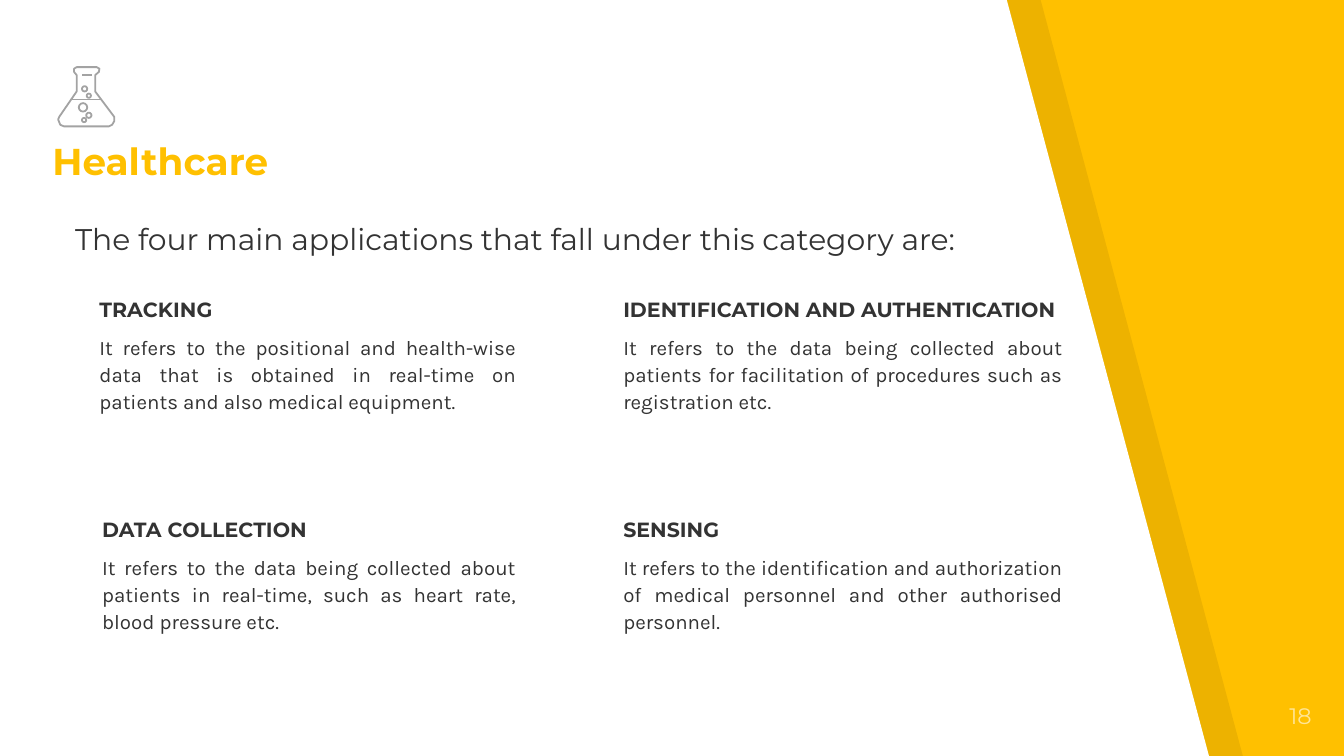
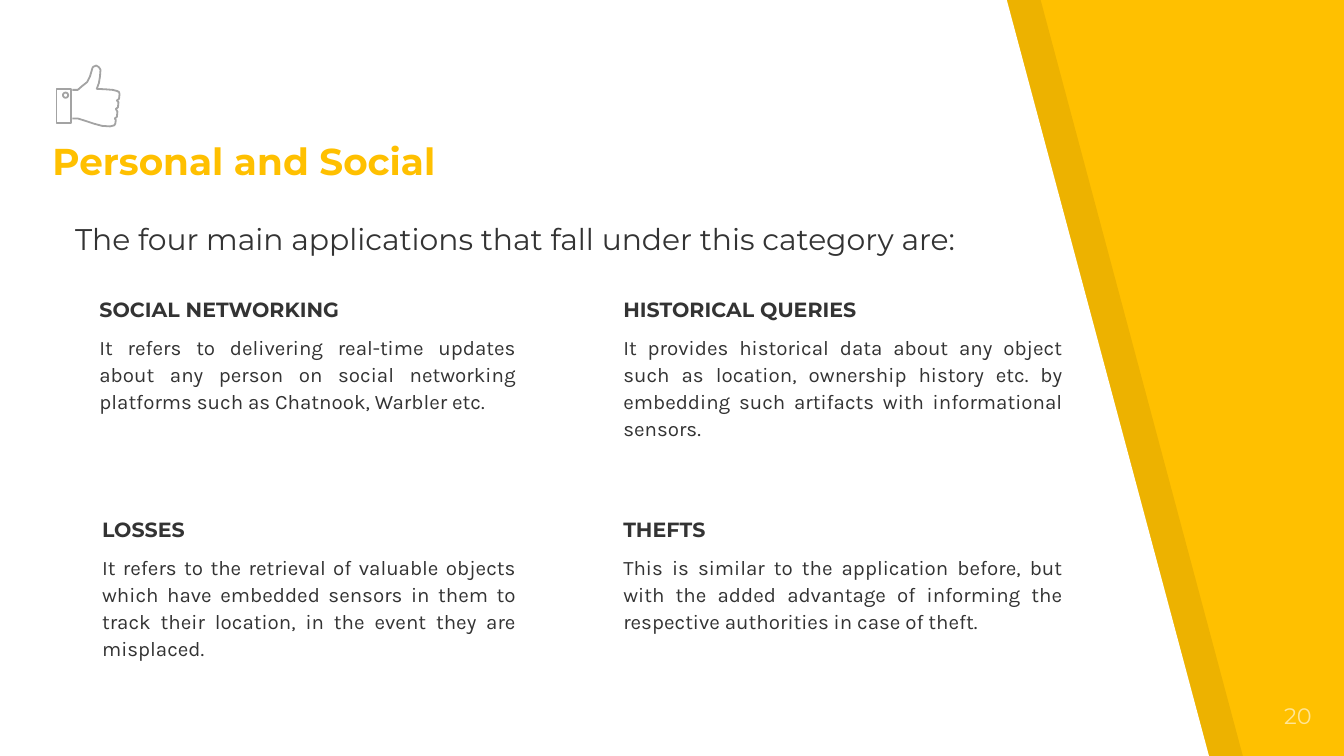
from lxml.etree import SubElement
from pptx import Presentation
from pptx.dml.color import RGBColor
from pptx.enum.shapes import MSO_CONNECTOR, MSO_SHAPE, MSO_SHAPE_TYPE
from pptx.enum.text import MSO_ANCHOR, PP_ALIGN
from pptx.oxml.ns import qn
from pptx.util import Cm, Pt


class Theme:
    yellow = RGBColor(0xFF, 0xC0, 0x00)
    pale = RGBColor(0xFF, 0xE6, 0x99)
    white = RGBColor(0xFF, 0xFF, 0xFF)
    black = RGBColor(0x00, 0x00, 0x00)
    dark = RGBColor(0x33, 0x33, 0x33)
    grey = RGBColor(0xA3, 0xA3, 0xA3)
    heading, body = "Montserrat", "Karla"
    title_size, lead_size, number_size, text_size = Pt(20), Pt(16), Pt(12), Pt(11)
    icon_line = Pt(0.96)
    inset = Cm(0.25)


LEAD = "The four main applications that fall under this category are:"

# Left, top, width, height in cm
TITLE_BOX = (0.74, 2.36, 18.24, 1.35)
LEAD_BOX = (1.17, 3.73, 17.65, 1.55)
NUMBER_BOX = (23.52, 13.03, 1.52, 1.09)
TOPIC_BOXES = [
    (1.63, 5.31, 8.38, 3.63), (11.53, 5.31, 8.81, 3.63),
    (1.68, 9.47, 8.33, 3.63), (11.53, 9.47, 8.81, 4.32),
]

# Outlines in hundredths of a cm
PANEL = [(0, -3), (0, 1433), (2286, 1433), (1902, -3)]
PANEL_SHADOW = [(64, -3), (64, 1433), (2350, 1433), (1966, -3)]
FLASK = [
    (216, 221), (180, 173), (180, 142), (187, 136), (188, 130), (183, 127),
    (145, 127), (140, 130), (140, 136), (145, 142), (145, 173), (112, 221),
    (110, 226), (114, 236), (121, 239), (206, 239), (212, 236), (216, 229),
]
HAND = [
    (137, 224), (147, 224), (163, 229), (178, 234), (193, 238), (208, 239),
    (216, 237), (218, 234), (219, 227), (217, 224), (221, 221), (222, 211),
    (219, 206), (223, 203), (224, 193), (221, 190), (225, 187), (226, 178),
    (225, 174), (221, 172), (213, 170), (201, 169), (183, 168), (187, 157),
    (189, 145), (190, 132), (187, 127), (182, 124), (177, 126), (175, 128),
    (170, 145), (165, 155), (155, 163), (147, 170), (137, 170),
]

SLIDES = [
    {
        "title": "Healthcare",
        "number": "18",
        "outline": FLASK,
        "closed": True,
        "cuffs": [],
        "strokes": [(1.37, 1.88, 1.9, 1.88), (1.55, 1.42, 1.73, 1.42)],
        "circles": [(1.68, 2.18, 0.1), (1.57, 2.03, 0.16), (1.59, 2.27, 0.08),
                    (1.68, 1.81, 0.08), (1.6, 1.68, 0.1)],
        "topics": [
            ("TRACKING", "It refers to the positional and health-wise data that is "
             "obtained in real-time on patients and also medical equipment."),
            ("IDENTIFICATION AND AUTHENTICATION", "It refers to the data being collected "
             "about patients for facilitation of procedures such as registration etc."),
            ("DATA COLLECTION", "It refers to the data being collected about patients in "
             "real-time, such as heart rate, blood pressure etc."),
            ("SENSING", "It refers to the identification and authorization of medical "
             "personnel and other authorised personnel."),
        ],
    },
    {
        "title": "Personal and Social",
        "number": "20",
        "outline": HAND,
        "closed": False,
        "cuffs": [(1.07, 1.68, 0.28, 0.64)],
        "strokes": [],
        "circles": [(1.24, 1.8, 0.1)],
        "topics": [
            ("SOCIAL NETWORKING", "It refers to delivering real-time updates about any person "
             "on social networking platforms such as Chatnook, Warbler etc."),
            ("HISTORICAL QUERIES", "It provides historical data about any object such as "
             "location, ownership history etc. by embedding such artifacts with "
             "informational sensors."),
            ("LOSSES", "It refers to the retrieval of valuable objects which have embedded "
             "sensors in them to track their location, in the event they are misplaced."),
            ("THEFTS", "This is similar to the application before, but with the added "
             "advantage of informing the respective authorities in case of theft."),
        ],
    },
]


def add_outline(shapes, points, closed=True):
    builder = shapes.build_freeform(*points[0], scale=Cm(0.01))
    builder.add_line_segments(points[1:], close=closed)
    sp = builder.convert_to_shape()
    sp.shadow.inherit = False
    return sp


def add_text(s, box, lines, anchor=MSO_ANCHOR.TOP):
    """Add a text box; each line is (text, font name, size, colour, bold, alignment)."""
    tf = s.shapes.add_textbox(*map(Cm, box)).text_frame
    tf.word_wrap = True
    tf.vertical_anchor = anchor
    tf.margin_left = tf.margin_right = tf.margin_top = tf.margin_bottom = Theme.inset
    for i, (text, name, size, color, bold, align) in enumerate(lines):
        p = tf.add_paragraph() if i else tf.paragraphs[0]
        p.text = text
        p.alignment = align
        p.font.name, p.font.size, p.font.bold = name, size, bold
        p.font.color.rgb = color
    return tf


prs = Presentation()
prs.slide_width, prs.slide_height = Cm(25.4), Cm(14.29)
background = prs.slide_master.background.fill
background.solid()
background.fore_color.rgb = Theme.yellow

for content in SLIDES:
    s = prs.slides.add_slide(prs.slide_layouts[6])

    for points, color in ((PANEL_SHADOW, Theme.black), (PANEL, Theme.white)):
        sp = add_outline(s.shapes, points)
        sp.fill.solid()
        sp.fill.fore_color.rgb = color
        sp.line.fill.background()
        if points is PANEL_SHADOW:
            rgb = sp.fill._xPr.find(qn("a:solidFill"))[0]
            SubElement(rgb, qn("a:alpha"), val="7000")

    add_text(s, TITLE_BOX, [(content["title"], Theme.heading, Theme.title_size,
                             Theme.yellow, True, PP_ALIGN.LEFT)], MSO_ANCHOR.BOTTOM)
    add_text(s, NUMBER_BOX, [(content["number"], Theme.heading, Theme.number_size,
                              Theme.pale, False, PP_ALIGN.RIGHT)])
    for box, (heading, text) in zip(TOPIC_BOXES, content["topics"]):
        tf = add_text(s, box, [
            (heading, Theme.heading, Theme.text_size, Theme.dark, True, PP_ALIGN.LEFT),
            (text, Theme.body, Theme.text_size, Theme.dark, False, PP_ALIGN.JUSTIFY),
        ])
        for p in tf.paragraphs:
            p.line_spacing = 1.1
        tf.paragraphs[1].space_before = Pt(6)
    add_text(s, LEAD_BOX, [(LEAD, Theme.heading, Theme.lead_size,
                            Theme.dark, False, PP_ALIGN.LEFT)], MSO_ANCHOR.MIDDLE)

    icon = s.shapes.add_group_shape().shapes
    add_outline(icon, content["outline"], content["closed"])
    for cuff in content["cuffs"]:
        icon.add_shape(MSO_SHAPE.RECTANGLE, *map(Cm, cuff))
    for stroke in content["strokes"]:
        icon.add_connector(MSO_CONNECTOR.STRAIGHT, *map(Cm, stroke))
    for x, y, d in content["circles"]:
        icon.add_shape(MSO_SHAPE.OVAL, Cm(x - d / 2), Cm(y - d / 2), Cm(d), Cm(d))
    for part in icon:
        part.line.color.rgb = Theme.grey
        part.line.width = Theme.icon_line
        if part.shape_type == MSO_SHAPE_TYPE.LINE:
            SubElement(part._element.spPr, qn("a:effectLst"))
        else:
            part.fill.background()
            part.shadow.inherit = False

prs.save("out.pptx")
